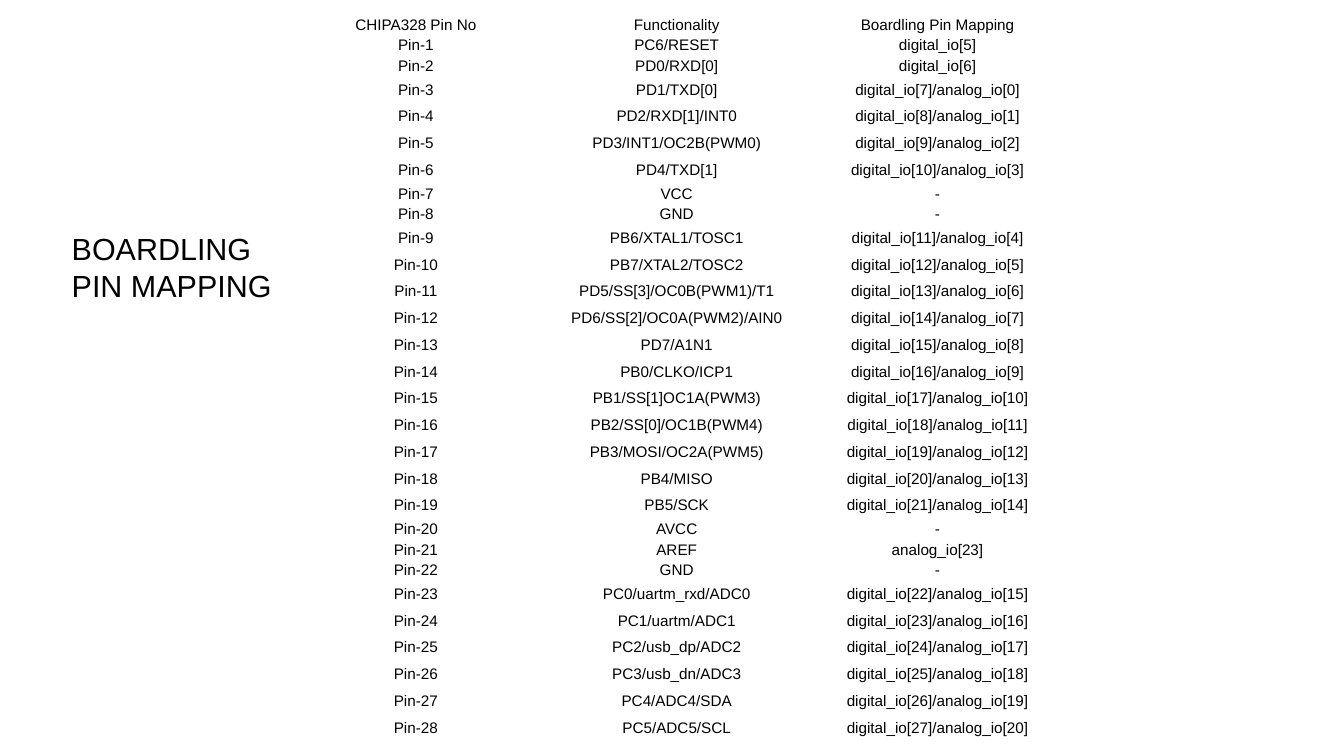
from pptx import Presentation
from pptx.dml.color import RGBColor
from pptx.enum import text
from pptx.util import Pt

BLACK = RGBColor(0, 0, 0)
WHITE = RGBColor(255, 255, 255)

HEADER = ("CHIPA328 Pin No", "Functionality", "Boardling Pin Mapping")
FUNCTIONS = [
    "PC6/RESET", "PD0/RXD[0]", "PD1/TXD[0]", "PD2/RXD[1]/INT0",
    "PD3/INT1/OC2B(PWM0)", "PD4/TXD[1]", "VCC", "GND",
    "PB6/XTAL1/TOSC1", "PB7/XTAL2/TOSC2", "PD5/SS[3]/OC0B(PWM1)/T1",
    "PD6/SS[2]/OC0A(PWM2)/AIN0", "PD7/A1N1", "PB0/CLKO/ICP1",
    "PB1/SS[1]OC1A(PWM3)", "PB2/SS[0]/OC1B(PWM4)", "PB3/MOSI/OC2A(PWM5)",
    "PB4/MISO", "PB5/SCK", "AVCC", "AREF", "GND",
    "PC0/uartm_rxd/ADC0", "PC1/uartm/ADC1", "PC2/usb_dp/ADC2",
    "PC3/usb_dn/ADC3", "PC4/ADC4/SDA", "PC5/ADC5/SCL",
]
FIXED = {"VCC": "-", "GND": "-", "AVCC": "-", "AREF": "analog_io[23]"}
FIRST_DIGITAL, FIRST_SHARED = 5, 7  # pins from 7 on also carry an analog line
COL_W, SHORT_ROW, TALL_ROW = 154, 12.2, 15.8


def write(tf, content, size, align=text.PP_ALIGN.LEFT):
    for i, line in enumerate(content.split("\n")):
        p = tf.add_paragraph() if i else tf.paragraphs[0]
        p.alignment = align
        r = p.add_run()
        r.text = line
        r.font.name = "Arial"
        r.font.size = Pt(size)
        r.font.color.rgb = BLACK


prs = Presentation()
prs.slide_width, prs.slide_height = Pt(793.44), Pt(446.4)
s = prs.slides.add_slide(prs.slide_layouts[6])

# Pin rows: the digital lines count up, skipping supply and reference pins
rows = [HEADER]
digital = FIRST_DIGITAL
for pin, function in enumerate(FUNCTIONS, 1):
    mapping = FIXED.get(function)
    if mapping is None:
        mapping = f"digital_io[{digital}]"
        if digital >= FIRST_SHARED:
            mapping += f"/analog_io[{digital - FIRST_SHARED}]"
        digital += 1
    rows.append((f"Pin-{pin}", function, mapping))

# Pin table: rows with a shared line are taller
heights = [TALL_ROW if "/" in row[2] else SHORT_ROW for row in rows]
table = s.shapes.add_table(len(rows), len(HEADER), Pt(168.5), Pt(8.6),
                           Pt(COL_W * len(HEADER)), Pt(sum(heights))).table
table.first_row = table.horz_banding = False
for col in table.columns:
    col.width = Pt(COL_W)
for i, row in enumerate(rows):
    table.rows[i].height = Pt(heights[i])
    for j, value in enumerate(row):
        cell = table.cell(i, j)
        cell.fill.solid()
        cell.fill.fore_color.rgb = WHITE
        cell.vertical_anchor = text.MSO_ANCHOR.MIDDLE
        cell.margin_left = cell.margin_right = Pt(2)
        cell.margin_top = cell.margin_bottom = Pt(0.7)
        write(cell.text_frame, value, 9, text.PP_ALIGN.CENTER)

# Title
tf = s.shapes.add_textbox(Pt(35.3), Pt(132.5), Pt(133.9), Pt(51.1)).text_frame
tf.word_wrap = False
tf.auto_size = text.MSO_AUTO_SIZE.SHAPE_TO_FIT_TEXT
write(tf, "BOARDLING\nPIN MAPPING", 18)

prs.save("out.pptx")
